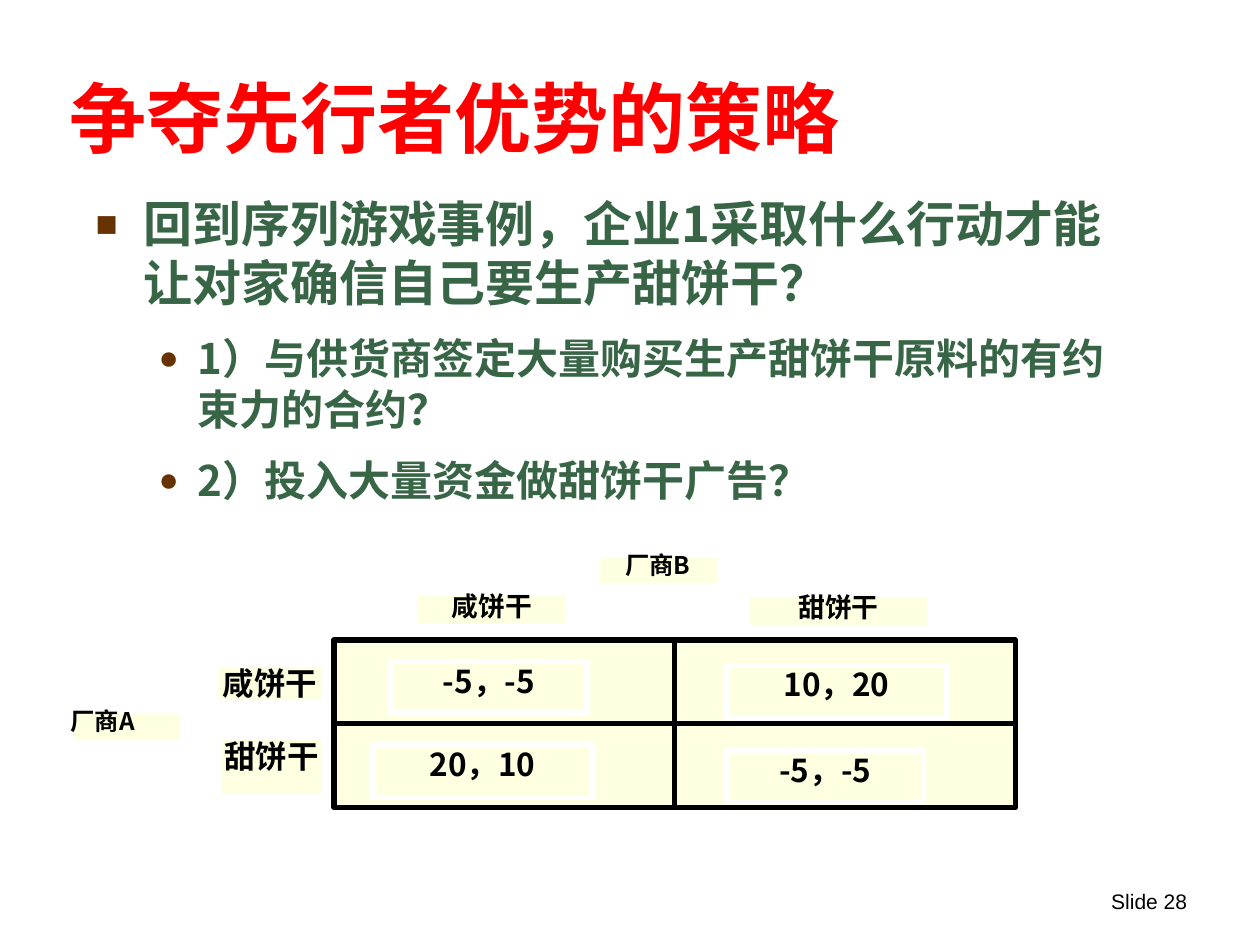
import pptx
import pptx.util
import pptx.dml.color
import pptx.enum.shapes
import pptx.enum.text
import pptx.oxml.ns
import lxml.etree

Inches = pptx.util.Inches
Pt = pptx.util.Pt
RGBColor = pptx.dml.color.RGBColor
Align = pptx.enum.text.PP_ALIGN
Anchor = pptx.enum.text.MSO_ANCHOR
qn = pptx.oxml.ns.qn

RED = RGBColor(0xFF, 0x00, 0x00)
GREEN = RGBColor(0x37, 0x65, 0x46)
BROWN = RGBColor(0x66, 0x33, 0x00)
CREAM = RGBColor(0xFF, 0xFF, 0xE1)
BLACK = RGBColor(0x00, 0x00, 0x00)
WHITE = RGBColor(0xFF, 0xFF, 0xFF)
SANS = "Arial"
CJK = "Noto Sans CJK SC"


class SlideBuilder:
    def __init__(self, page):
        self.page = page
        self.shapes = page.shapes

    def add_span(self, para, text, size, color, font=CJK, bold=True):
        span = para.add_run()
        span.text = text
        span.font.size = Pt(size)
        span.font.bold = bold
        span.font.color.rgb = color
        span.font.name = font
        lxml.etree.SubElement(span.font._element, qn("a:ea"), typeface=CJK)

    def title(self, text, left, top, width, height):
        box = self.page.shapes.title
        box.left, box.top = Inches(left), Inches(top)
        box.width, box.height = Inches(width), Inches(height)
        box.text_frame.word_wrap = True
        box.text_frame.vertical_anchor = Anchor.BOTTOM
        para = box.text_frame.paragraphs[0]
        para.alignment = Align.LEFT
        self.add_span(para, text, 44, RED, SANS)

    def text_box(self, left, top, width, height):
        box = self.page.shapes.add_textbox(
            Inches(left), Inches(top), Inches(width), Inches(height))
        box.text_frame.word_wrap = True
        return box.text_frame

    def bullet(self, para, text, size, before, level, margin, hanging, mark, percent):
        para.level = level
        para.space_before = Pt(before)
        props = para._p.get_or_add_pPr()
        props.set("marL", str(Inches(margin)))
        props.set("indent", str(-Inches(hanging)))
        color = lxml.etree.SubElement(props, qn("a:buClr"))
        lxml.etree.SubElement(color, qn("a:srgbClr"), val=str(BROWN))
        lxml.etree.SubElement(props, qn("a:buSzPct"), val=str(percent * 1000))
        lxml.etree.SubElement(props, qn("a:buFont"), typeface=SANS)
        lxml.etree.SubElement(props, qn("a:buChar"), char=mark)
        self.add_span(para, text, size, GREEN)

    def start_group(self):
        self.shapes = self.page.shapes.add_group_shape().shapes

    def panel(self, left, top, width, height, line=WHITE):
        box = self.shapes.add_shape(
            pptx.enum.shapes.MSO_SHAPE.RECTANGLE,
            Inches(left), Inches(top), Inches(width), Inches(height))
        box.shadow.inherit = False
        box.fill.solid()
        box.fill.fore_color.rgb = CREAM
        box.line.color.rgb = line
        box.line.width = Pt(3)
        return box

    def label(self, text, left, top, width, height, size=18, spacing=1.0, align=Align.CENTER):
        frame = self.panel(left, top, width, height).text_frame
        frame.word_wrap = True
        frame.vertical_anchor = Anchor.TOP
        frame.margin_left = frame.margin_right = 0
        frame.margin_top = frame.margin_bottom = 0
        para = frame.paragraphs[0]
        para.alignment = align
        para.line_spacing = spacing
        self.add_span(para, text, size, BLACK)

    def rule(self, x1, y1, x2, y2):
        line = self.shapes.add_connector(
            pptx.enum.shapes.MSO_CONNECTOR.STRAIGHT,
            Inches(x1), Inches(y1), Inches(x2), Inches(y2))
        line.line.color.rgb = BLACK
        line.line.width = Pt(3)
        lxml.etree.SubElement(line._element.spPr, qn("a:effectLst"))


def main():
    deck = pptx.Presentation()
    deck.slide_width, deck.slide_height = Inches(10), Inches(7.5)
    builder = SlideBuilder(deck.slides.add_slide(deck.slide_layouts[5]))

    para = builder.text_box(8.32, 7, 1.2, 0.5).paragraphs[0]
    para.alignment = Align.RIGHT
    builder.add_span(para, "Slide 28", 12, BLACK, SANS, bold=False)

    builder.title("争夺先行者优势的策略", 0.45, 0.39, 8.83, 0.95)

    body = builder.text_box(0.66, 1.49, 8.39, 2.82)
    builder.bullet(
        body.paragraphs[0],
        "回到序列游戏事例，企业1采取什么行动才能让对家确信自己要生产甜饼干？",
        28, 17.5, 0, 0.38, 0.38, "■", 75)
    for text in ("1）与供货商签定大量购买生产甜饼干原料的有约束力的合约？",
                 "2）投入大量资金做甜饼干广告？"):
        builder.bullet(body.add_paragraph(), text, 24, 12, 1, 0.81, 0.31, "●", 80)

    left, top, width, height = 2.65, 5.08, 5.41, 1.33
    middle_x, middle_y = left + width / 2, top + height / 2
    builder.start_group()
    builder.panel(left, top, width, height, BLACK)
    builder.label("-5，-5", 3.1, 5.25, 1.56, 0.41)
    builder.rule(left, middle_y, left + width, middle_y)
    builder.rule(middle_x, top, middle_x, top + height)
    builder.label("-5，-5", 5.77, 5.96, 1.56, 0.4)
    builder.label("20，10", 2.96, 5.91, 1.74, 0.42)
    builder.label("10，20", 5.77, 5.28, 1.74, 0.42)
    builder.label("咸饼干", 3.3, 4.71, 1.21, 0.26, 15.3, 0.9)
    builder.label("咸饼干", 1.71, 5.27, 0.87, 0.31)
    builder.label("甜饼干", 5.93, 4.72, 1.45, 0.26, 15.3, 0.9)
    builder.label("甜饼干", 1.73, 5.85, 0.85, 0.47)
    builder.label("厂商B", 4.73, 4.41, 0.98, 0.24, 13.9, 0.8)
    builder.label("厂商A", 0.56, 5.65, 0.89, 0.24, 13.9, 0.8, Align.JUSTIFY)

    deck.save("out.pptx")


if __name__ == "__main__":
    main()
